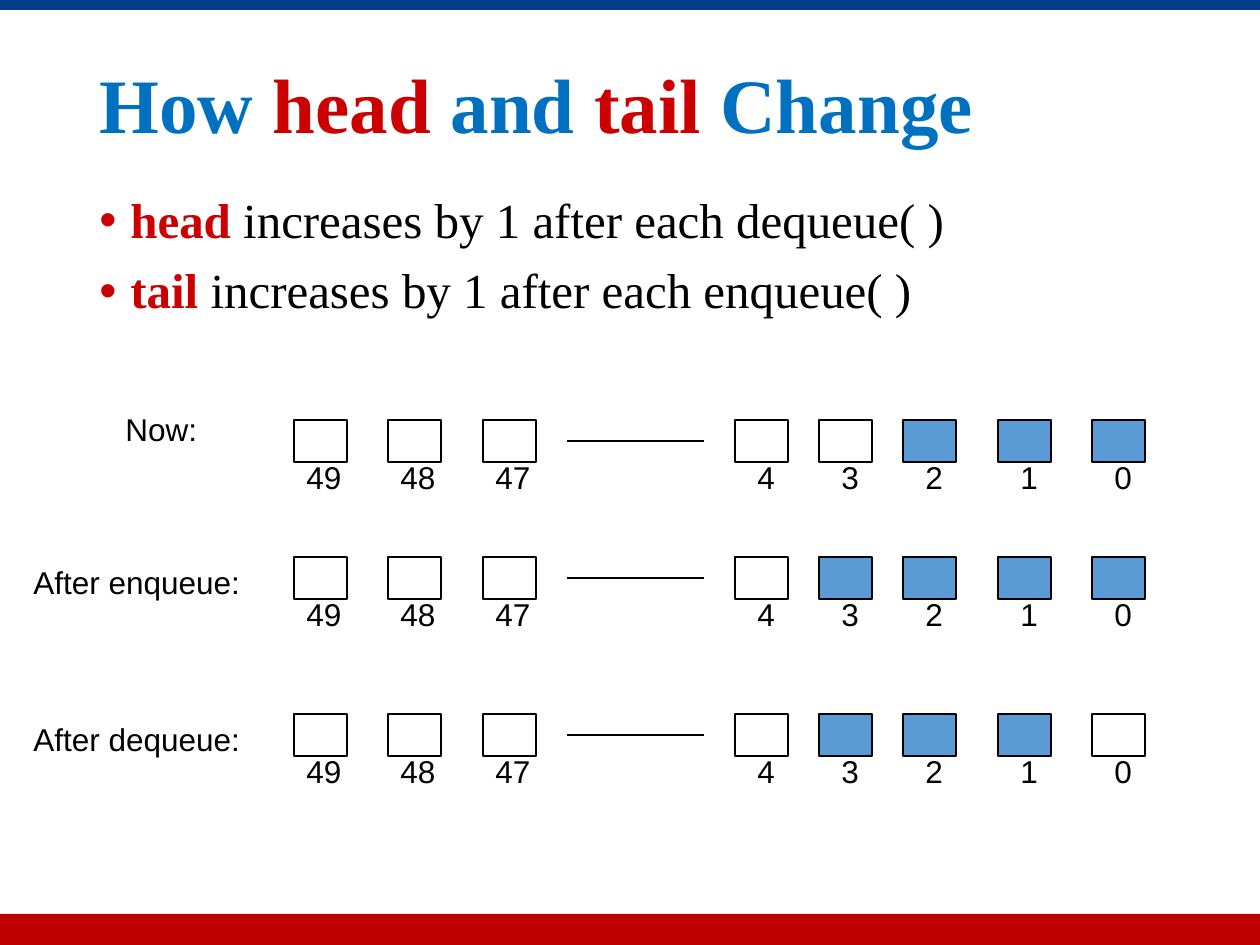
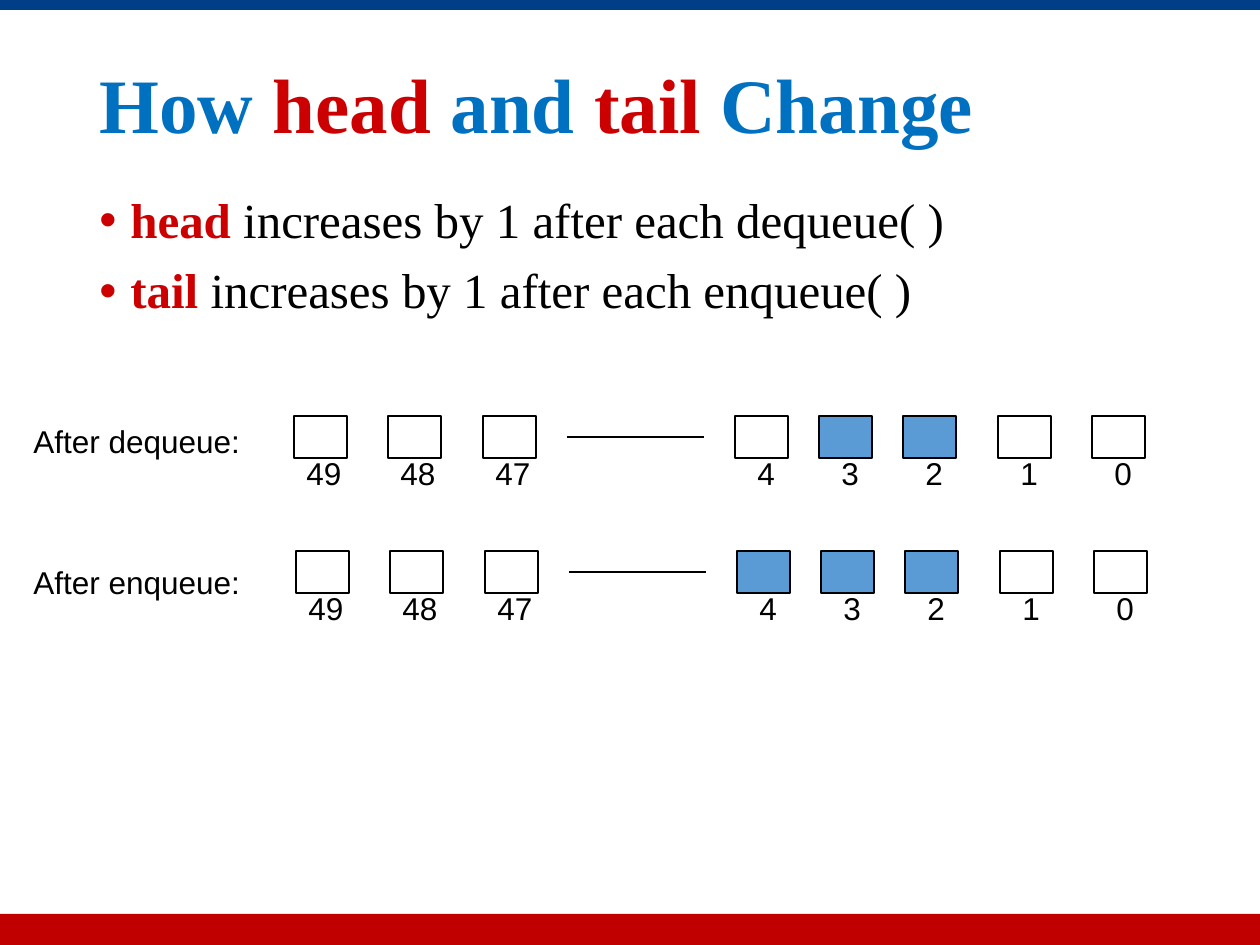
from lxml import etree
from pptx import Presentation
from pptx.dml.color import RGBColor
from pptx.enum.shapes import MSO_CONNECTOR, MSO_SHAPE
from pptx.enum.text import MSO_ANCHOR
from pptx.oxml.ns import qn
from pptx.util import Pt

RECT = MSO_SHAPE.RECTANGLE
STRAIGHT = MSO_CONNECTOR.STRAIGHT
TOP, MIDDLE = MSO_ANCHOR.TOP, MSO_ANCHOR.MIDDLE

PX = 914400 / 126  # EMU in one px
SLIDE_W, SLIDE_H = 1260, 945

COLORS = {
    "top": "003F87",
    "bottom": "C00000",
    "title": "0070C0",
    "keyword": "CC0000",
    "text": "000000",
    "used": "5B9BD5",
}

# Font formats
TITLE = {"name": "Times New Roman", "size": Pt(44), "bold": True}
BODY = {"name": "Times New Roman", "size": Pt(28), "bold": False}
KEYWORD = {**BODY, "bold": True}
LABEL = {"name": "Arial", "size": Pt(18)}

# Queue geometry: left edge of each cell by its index
CELL_LEFT = {49: 294, 48: 388, 47: 483,
             4: 735, 3: 819, 2: 903, 1: 998, 0: 1092}
CELL_W, CELL_H = 53, 42
GAP_LINE = (567, 704)
INDEX_DROP = 32
LABEL_LEFT = 21

# Each row: label, label left, label top, cell shift, cell top, used cells
QUEUES = [
    [
        ("Now:", 113, 404, 0, 420, {0, 1, 2}),
        ("After enqueue:", LABEL_LEFT, 557, 0, 557, {0, 1, 2, 3}),
        ("After dequeue:", LABEL_LEFT, 714, 0, 714, {1, 2, 3}),
    ],
    [
        ("After dequeue:", LABEL_LEFT, 416, 0, 416, {2, 3}),
        ("After enqueue:", LABEL_LEFT, 557, 2, 551, {2, 3, 4}),
    ],
]


def px(n):
    return round(n * PX)


def box(*lengths):
    return [px(n) for n in lengths]


def rgb(color):
    return RGBColor.from_string(COLORS[color])


def add_run(p, text, fmt, color="text"):
    r = p.add_run()
    r.text = text
    for key, value in fmt.items():
        setattr(r.font, key, value)
    r.font.color.rgb = rgb(color)


def add_text(shapes, at, anchor=TOP):
    tf = shapes.add_textbox(*box(*at)).text_frame
    tf.word_wrap = True
    tf.vertical_anchor = anchor
    return tf


def add_label(shapes, at, text):
    add_run(add_text(shapes, at).paragraphs[0], text, LABEL)


def add_rect(shapes, at, fill=None, line=None):
    sp = shapes.add_shape(RECT, *box(*at))
    sp.shadow.inherit = False
    if fill:
        sp.fill.solid()
        sp.fill.fore_color.rgb = rgb(fill)
    else:
        sp.fill.background()
    if line:
        sp.line.color.rgb = rgb(line)
        sp.line.width = Pt(0.75)
    else:
        sp.line.fill.background()


def add_line(shapes, x1, y1, x2, y2):
    cn = shapes.add_connector(STRAIGHT, *box(x1, y1, x2, y2))
    cn.line.color.rgb = rgb("text")
    cn.line.width = Pt(0.75)
    etree.SubElement(cn._element.spPr, qn("a:effectLst"))


def add_bullet(p):
    pPr = p._p.get_or_add_pPr()
    pPr.set("marL", str(px(31)))
    pPr.set("indent", str(-px(31)))
    clr = etree.SubElement(pPr, qn("a:buClr"))
    etree.SubElement(clr, qn("a:srgbClr"), val=COLORS["keyword"])
    etree.SubElement(pPr, qn("a:buFont"), typeface="Arial")
    etree.SubElement(pPr, qn("a:buChar"), char="•")


def add_bands(s):
    add_rect(s.shapes, (0, 914, SLIDE_W, SLIDE_H - 914), "bottom")
    add_rect(s.shapes, (0, 0, SLIDE_W, 10), "top")


def add_title(s):
    p = add_text(s.shapes, (87, 50, 1086, 117), MIDDLE).paragraphs[0]
    p.line_spacing = 0.9
    for text, color in [("How ", "title"), ("head", "keyword"),
                        (" and ", "title"), ("tail", "keyword"),
                        (" Change", "title")]:
        add_run(p, text, TITLE, color)


def add_rules(s):
    tf = add_text(s.shapes, (87, 190, 1086, 180))
    rules = [("head", "dequeue"), ("tail", "enqueue")]
    for i, (pointer, method) in enumerate(rules):
        p = tf.add_paragraph() if i else tf.paragraphs[0]
        add_bullet(p)
        p.line_spacing = 0.9
        if i:
            p.space_before = Pt(10)
        add_run(p, f"{pointer} ", KEYWORD, "keyword")
        add_run(p, f"increases by 1 after each {method}( )", BODY)


def add_queue(s, dx, top, used):
    shapes = s.shapes.add_group_shape().shapes
    for index, left in CELL_LEFT.items():
        x = left + dx
        fill = "used" if index in used else None
        add_rect(shapes, (x, top, CELL_W, CELL_H), fill, "text")
        # One-digit indexes sit further right in a narrower box
        indent, width = (10, 46) if index < 10 else (0, 73)
        add_label(shapes, (x + indent, top + INDEX_DROP, width, 63),
                  str(index))
    y = top + CELL_H // 2
    start, end = GAP_LINE
    add_line(shapes, start + dx, y, end + dx, y)


def main():
    prs = Presentation()
    prs.slide_width, prs.slide_height = box(SLIDE_W, SLIDE_H)
    for queues in QUEUES:
        s = prs.slides.add_slide(prs.slide_layouts[6])
        add_bands(s)
        add_title(s)
        add_rules(s)
        for label, label_left, label_top, dx, top, used in queues:
            add_label(s.shapes, (label_left, label_top, 276, 63), label)
            add_queue(s, dx, top, used)
    prs.save("out.pptx")


if __name__ == "__main__":
    main()
